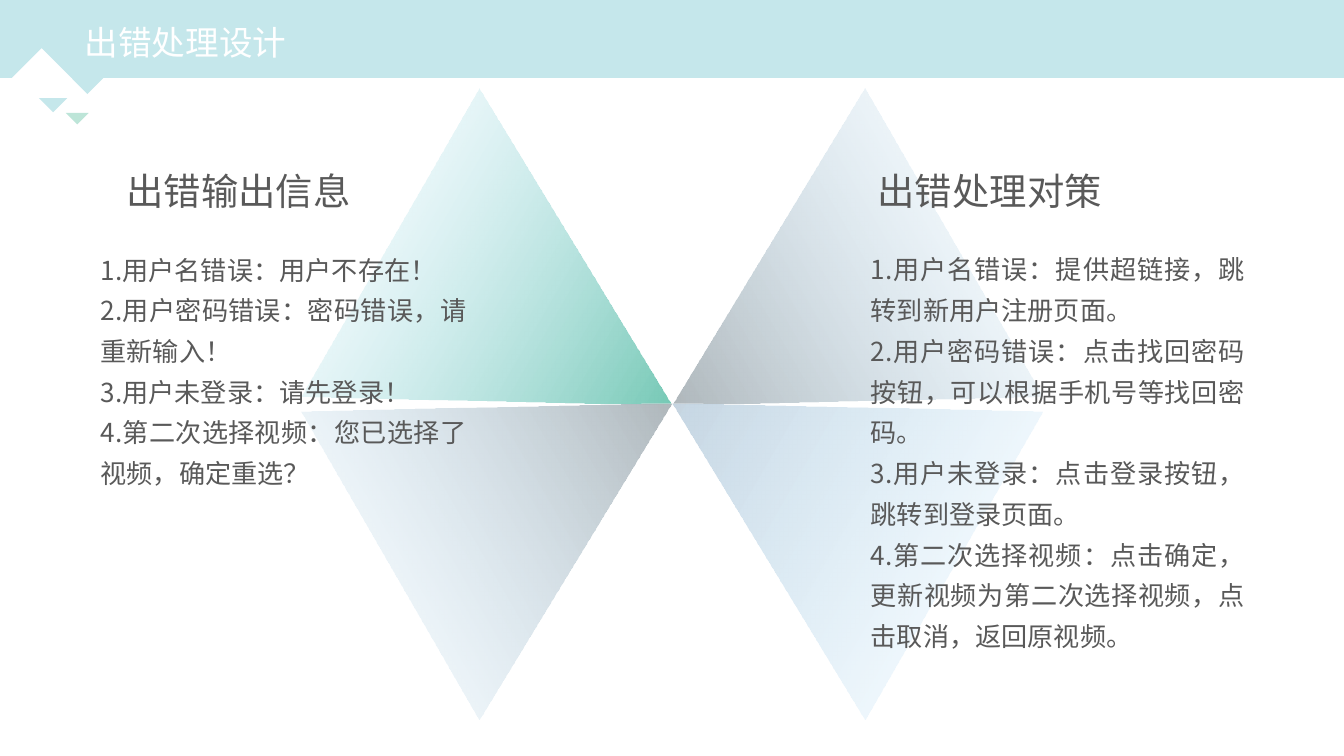
import pptx
import pptx.util
import pptx.dml.color
import pptx.enum.shapes
import pptx.enum.text
import pptx.oxml.ns
import lxml.etree

RGB = pptx.dml.color.RGBColor.from_string
SHAPE = pptx.enum.shapes.MSO_SHAPE
ALIGN = pptx.enum.text.PP_ALIGN
ANCHOR = pptx.enum.text.MSO_ANCHOR
qn = pptx.oxml.ns.qn

THEME = dict(
    font="Noto Sans CJK SC", title=18, heading=20, body=14,
    white="FFFFFF", text="595959", band="C5E7EB", mint="BDE5D8",
    green="5ABE9E", grey="A6A6A6", blue="C4CFD9", fade="CCECFF",
)

prs = pptx.Presentation()
prs.slide_width = pptx.util.Inches(10)
prs.slide_height = pptx.util.Inches(5.625)
CELL = prs.slide_width / 100  # square grid, 100 columns wide
s = prs.slides.add_slide(prs.slide_layouts[5])


def grid(*cells):
    return [round(c * CELL) for c in cells]


def write(sp, text, size, color=THEME["text"], align=ALIGN.LEFT, spacing=None,
          wrap=True, anchor=ANCHOR.TOP):
    tf = sp.text_frame
    tf.word_wrap = wrap
    tf.auto_size = pptx.enum.text.MSO_AUTO_SIZE.NONE
    tf.vertical_anchor = anchor
    tf.text = text
    for p in tf.paragraphs:
        p.alignment = align
        p.line_spacing = spacing
        for r in p.runs:
            r.font.size = pptx.util.Pt(size)
            r.font.name = THEME["font"]
            r.font.color.rgb = RGB(color)
            ea = lxml.etree.SubElement(r.font._element, qn("a:ea"))
            ea.set("typeface", THEME["font"])


# Header band
band = s.shapes.add_shape(SHAPE.RECTANGLE, *grid(0, 0, 100, 5.8))
band.shadow.inherit = False
band.fill.solid()
band.fill.fore_color.rgb = RGB(THEME["band"])
band.line.fill.background()

# Small header triangles: left, base row, half width, tip direction, colour
for left, base, half, tip, color in [
    (4.8, 5.3, 1.7, 1, THEME["band"]),
    (4.9, 8.4, 0.85, 1, THEME["mint"]),
    (0.8, 5.9, 2.3, -1, THEME["white"]),
    (2.9, 7.3, 1.05, 1, THEME["band"]),
]:
    builder = s.shapes.build_freeform(*grid(left, base))
    builder.add_line_segments(
        [grid(left + 2 * half, base), grid(left + half, base + tip * half)])
    sp = builder.convert_to_shape()
    sp.shadow.inherit = False
    sp.fill.solid()
    sp.fill.fore_color.rgb = RGB(color)
    sp.line.fill.background()

# Four large triangles with their tips meeting in the middle
MID_X, MID_Y, BASE, RISE = 50, 30.05, 26.4, 24.1
for side, level, angle, flips, color in [
    (1, -1, 240, [], THEME["grey"]),
    (-1, -1, 120, ["flipH"], THEME["green"]),
    (1, 1, 120, ["flipV"], THEME["blue"]),
    (-1, 1, 240, ["flipH", "flipV"], THEME["grey"]),
]:
    left = MID_X + side * 10.5 - BASE / 2
    top = MID_Y + level * 6 - RISE / 2
    sp = s.shapes.add_shape(SHAPE.ISOSCELES_TRIANGLE, *grid(left, top, BASE, RISE))
    sp.shadow.inherit = False
    sp.rotation = angle
    for flip in flips:
        sp._element.spPr.find(qn("a:xfrm")).set(flip, "1")
    sp.line.fill.background()
    sp.fill.gradient()
    sp.fill.gradient_angle = 270
    for stop, position, rgb in zip(sp.fill.gradient_stops, (0, 1), (color, THEME["fade"])):
        stop.position = position
        stop.color.rgb = RGB(rgb)
    # The outer end fades to full transparency
    end_color = sp._element.spPr.findall(".//" + qn("a:srgbClr"))[-1]
    lxml.etree.SubElement(end_color, qn("a:alpha")).set("val", "0")

# Title
title = s.shapes.title
title.left, title.top, title.width, title.height = grid(5.3, 0.6, 60, 5)
write(title, "出错处理设计", THEME["title"], color=THEME["white"], anchor=ANCHOR.MIDDLE)
s.shapes._spTree.append(title._element)

# Two columns: heading over a numbered list
for heading, heading_left, left, width, height, lines in [
    ("出错输出信息", 8.7, 6.5, 29.2, 22.5, [
        "1.用户名错误：用户不存在！",
        "2.用户密码错误：密码错误，请重新输入！",
        "3.用户未登录：请先登录！",
        "4.第二次选择视频：您已选择了视频，确定重选？",
    ]),
    ("出错处理对策", 64.6, 63.8, 29.8, 32, [
        "1.用户名错误：提供超链接，跳转到新用户注册页面。",
        "2.用户密码错误：点击找回密码按钮，可以根据手机号等找回密码。",
        "3.用户未登录：点击登录按钮，跳转到登录页面。",
        "4.第二次选择视频：点击确定，更新视频为第二次选择视频，点击取消，返回原视频。",
    ]),
]:
    write(s.shapes.add_textbox(*grid(left, 17.7, width, height)), "\n".join(lines),
          THEME["body"], align=ALIGN.JUSTIFY, spacing=1.3)
    write(s.shapes.add_textbox(*grid(heading_left, 12, 18.1, 5.7)), heading,
          THEME["heading"], align=ALIGN.CENTER, wrap=False)

prs.save("out.pptx")
